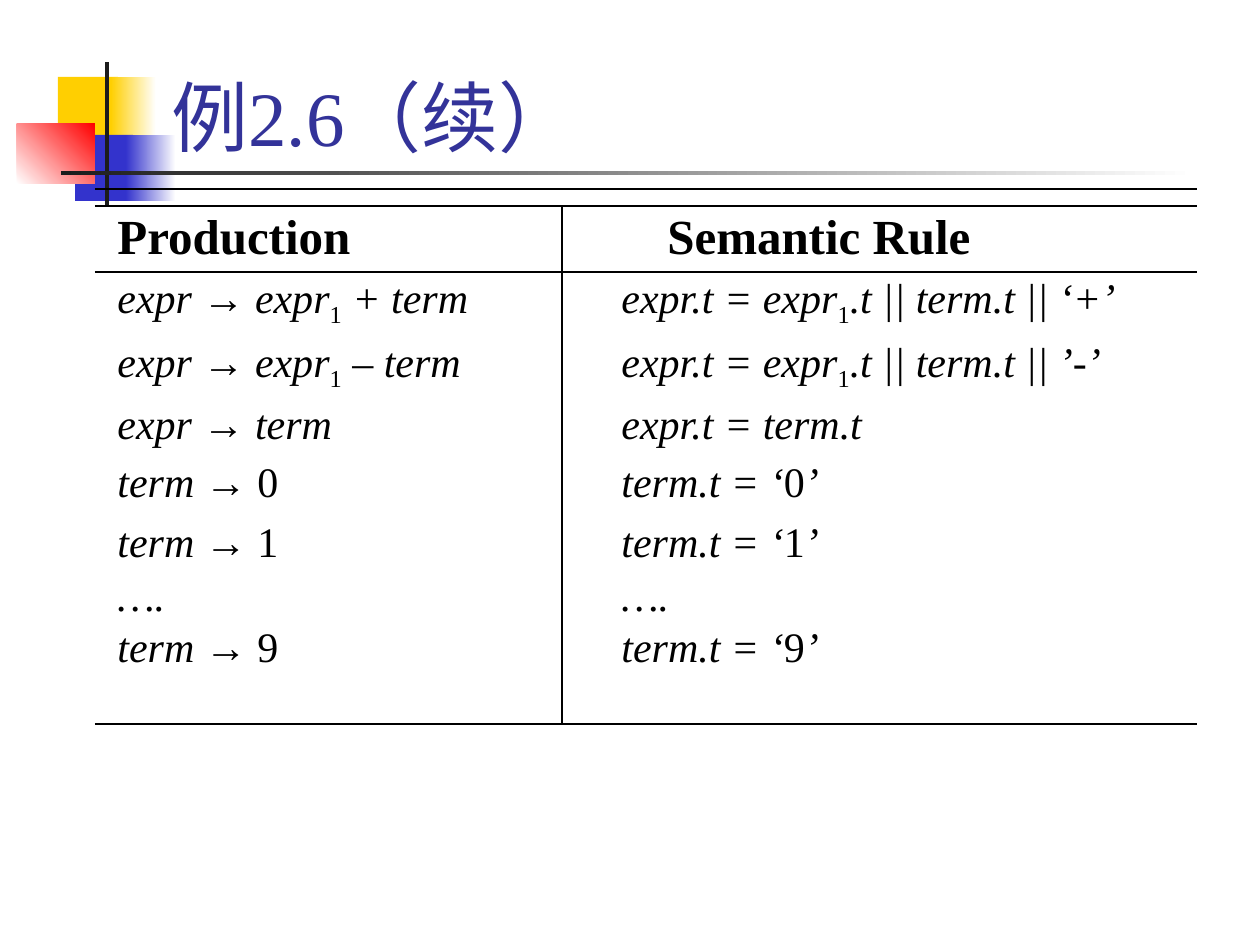
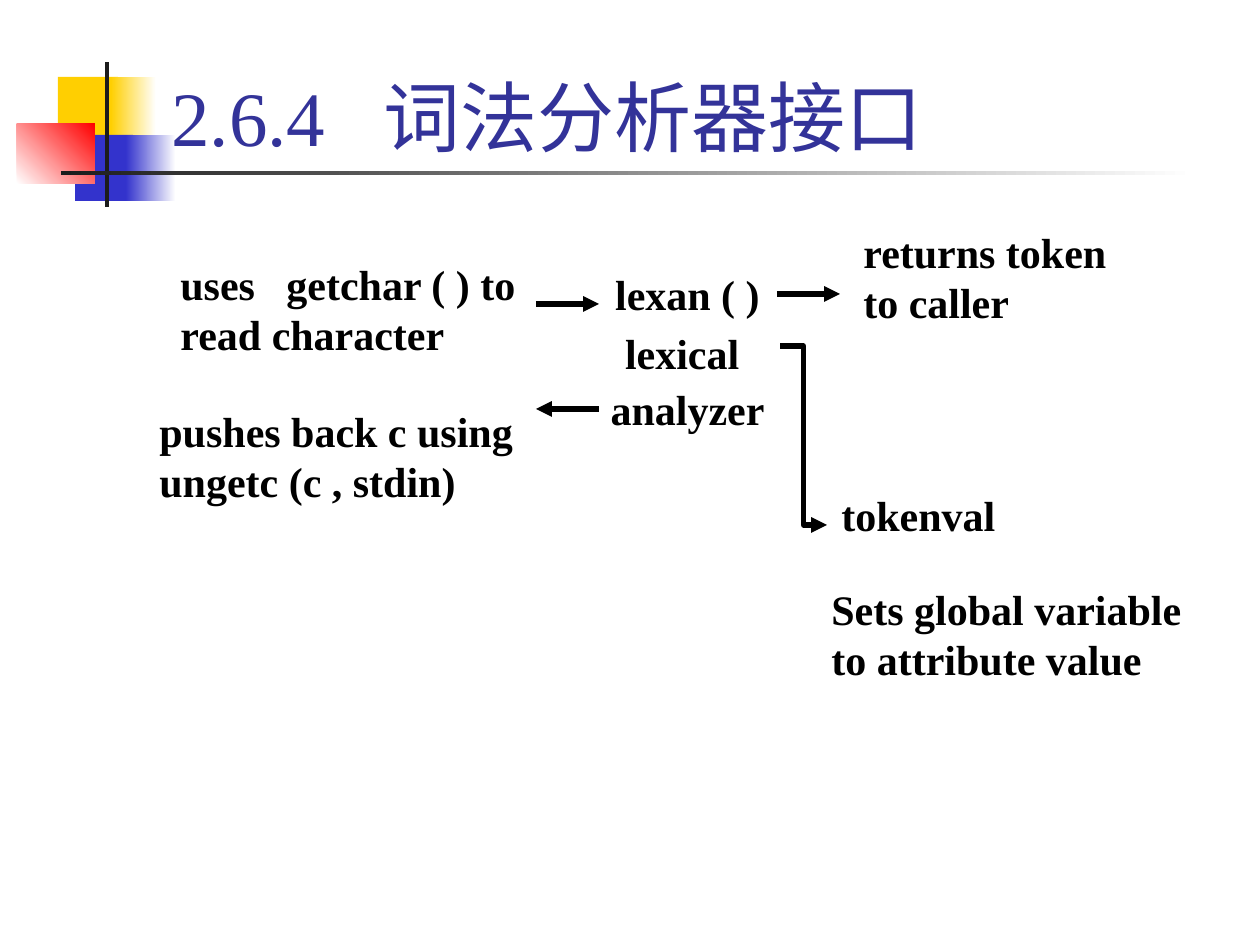
from itertools import groupby

from lxml import etree
from pptx import Presentation
from pptx.dml.color import RGBColor
from pptx.enum.shapes import MSO_CONNECTOR, MSO_SHAPE
from pptx.enum.text import MSO_ANCHOR, MSO_AUTO_SIZE, PP_ALIGN
from pptx.oxml.ns import qn
from pptx.util import Emu, Pt

RECTANGLE = MSO_SHAPE.RECTANGLE
STRAIGHT, ELBOW = MSO_CONNECTOR.STRAIGHT, MSO_CONNECTOR.ELBOW
TOP, BOTTOM = MSO_ANCHOR.TOP, MSO_ANCHOR.BOTTOM
LEFT, CENTER = PP_ALIGN.LEFT, PP_ALIGN.CENTER
NO_FIT, GROW = MSO_AUTO_SIZE.NONE, MSO_AUTO_SIZE.SHAPE_TO_FIT_TEXT

SCALE = 914400 / 126
SERIF, SANS = "Times New Roman", "Arial"
BLACK, WHITE, DARK, TITLE_BLUE = "000000", "FFFFFF", "1C1C1C", "333399"
YELLOW, BLUE, RED = "FFCF01", "3333CC", "FF0000"

# Shared decoration: area (left, top, width, height), colours, gradient angle
DECORATION = [
    ((58, 77, 60, 66), [YELLOW], 0),
    ((111, 77, 45, 66), [YELLOW, WHITE], 0),
    ((75, 135, 58, 66), [BLUE], 0),
    ((126, 135, 50, 66), [BLUE, WHITE], 0),
    ((17, 124, 78, 60), [WHITE, RED], 45),
    ((105, 62, 4, 145), [DARK], 0),
    ((61, 171, 1134, 4), [DARK, WHITE], 0),
]
TITLE_AREA = (159, 10, 1074, 158)

# Slide 1: production, semantic rule, line spacing
HEADINGS = ("Production", "Semantic Rule")
RULES = [
    ("expr → expr1 + term", "expr.t = expr1.t || term.t || ‘+’", 0.5),
    ("expr → expr1 – term", "expr.t = expr1.t || term.t || ’-’", 0.7),
    ("expr → term", "expr.t = term.t", 0.7),
    ("term → 0", "term.t = ‘0’", 0.6),
    ("term → 1", "term.t = ‘1’", 0.7),
    ("….", "….", 0.5),
    ("term → 9", "term.t = ‘9’", 0.5),
]
RULES_AREA = (105, 199, 1113, 475)
HEADING_TAB, RULE_TAB = 550, 504
GRID_LEFT, GRID_RIGHT, GRID_MIDDLE = 95, 1197, 562
GRID_ROWS = [189, 206, 272, 724]

# Slide 2: text, area, tab stop
LABELS = [
    ("uses\tgetchar ( ) to read character", (168, 252, 369, 113), 106),
    ("pushes back c using ungetc (c , stdin)", (147, 399, 382, 113), None),
    ("returns token to caller", (851, 220, 273, 113), None),
    ("tokenval", (829, 483, 242, 63), None),
    ("Sets global variable to attribute value", (819, 577, 382, 113), None),
]
ANALYZER = [("lexan ( )", 1.0), ("lexical ", 0.6), ("analyzer", 0.6)]
ANALYZER_AREA = (588, 262, 199, 176)
ARROWS = [
    (STRAIGHT, (536, 304), (599, 304)),
    (STRAIGHT, (599, 409), (536, 409)),
    (STRAIGHT, (777, 294), (840, 294)),
    (ELBOW, (780, 346), (827, 525)),
]


def px(*lengths):
    """Turn pixels into EMU."""
    return [Emu(round(length * SCALE)) for length in lengths]


def color(value):
    """Turn a hex string into a colour."""
    return RGBColor.from_string(value)


def add_block(page, area, colors, angle):
    """Draw a rectangle with a plain or two-colour gradient fill."""
    block = page.shapes.add_shape(RECTANGLE, *px(*area))
    block.shadow.inherit = False
    block.line.fill.background()
    if len(colors) == 1:
        block.fill.solid()
        block.fill.fore_color.rgb = color(colors[0])
    else:
        block.fill.gradient()
        block.fill.gradient_angle = angle
        for stop, value in zip(block.fill.gradient_stops, colors):
            stop.color.rgb = color(value)


def add_line(page, start, end, kind=STRAIGHT, width=0.74, arrow=False):
    """Draw a connector, with an arrowhead at its end if wanted."""
    line = page.shapes.add_connector(kind, *px(*start, *end))
    line.line.color.rgb = color(BLACK)
    line.line.width = Pt(width)
    properties = line._element.spPr
    if arrow:
        outline = properties.find(qn("a:ln"))
        etree.SubElement(outline, qn("a:tailEnd"), type="triangle")
    etree.SubElement(properties, qn("a:effectLst"))


def add_box(page, area, anchor=TOP, fit=GROW):
    """Add a wrapping text box and return its text frame."""
    frame = page.shapes.add_textbox(*px(*area)).text_frame
    frame.word_wrap = True
    frame.vertical_anchor = anchor
    frame.auto_size = fit
    return frame


def add_para(frame, spans, size=24, ink=BLACK, bold=False, align=LEFT,
             before=15, spacing=1.0, tab=None):
    """Write a paragraph of (text, font, italic, subscript) spans."""
    para = frame.paragraphs[0]
    if para.runs:
        para = frame.add_paragraph()
    para.alignment = align
    para.space_before = Pt(before)
    para.line_spacing = spacing
    if tab:
        stops = etree.SubElement(para._p.get_or_add_pPr(), qn("a:tabLst"))
        etree.SubElement(stops, qn("a:tab"), pos=str(px(tab)[0]), algn="l")
    for text, name, italic, subscript in spans:
        span = para.add_run()
        span.text = text
        font = span.font
        font.name, font.size = name, Pt(size)
        font.bold, font.italic = bold, italic
        font.color.rgb = color(ink)
        if subscript:
            font._element.set("baseline", "-25000")


def plain(text):
    """Return one upright serif span."""
    return [(text, SERIF, False, False)]


def grammar(text):
    """Split a rule: italic names, upright digits and arrows, subscripts."""
    def kind(letter):
        return "digit" if letter.isdigit() else "arrow" if letter == "→" else "name"

    spans, previous = [], ""
    for group, letters in groupby(text, kind):
        piece = "".join(letters)
        subscript = group == "digit" and previous.endswith("expr")
        spans.append((piece, SANS if group == "arrow" else SERIF,
                      group == "name", subscript))
        previous = piece
    return spans


def add_page(deck, title, tab=None):
    """Add a blank page with the shared decoration and a title."""
    page = deck.slides.add_slide(deck.slide_layouts[6])
    for area, colors, angle in DECORATION:
        add_block(page, area, colors, angle)
    frame = add_box(page, TITLE_AREA, BOTTOM, NO_FIT)
    add_para(frame, plain(title), size=44, ink=TITLE_BLUE, before=0, tab=tab)
    return page


def build_rules(deck):
    """Build the page of productions and semantic rules."""
    page = add_page(deck, "例2.6（续）")
    frame = add_box(page, RULES_AREA)
    add_para(frame, plain("\t".join(HEADINGS)), size=28, bold=True,
             before=17.5, tab=HEADING_TAB)
    for production, rule, spacing in RULES:
        add_para(frame, grammar(production + "\t" + rule),
                 spacing=spacing, tab=RULE_TAB)
    for row in GRID_ROWS:
        add_line(page, (GRID_LEFT, row), (GRID_RIGHT, row))
    add_line(page, (GRID_MIDDLE, GRID_ROWS[1]), (GRID_MIDDLE, GRID_ROWS[-1]))


def build_interface(deck):
    """Build the page of the lexical analyzer interface."""
    page = add_page(deck, "2.6.4\t词法分析器接口", tab=212)
    for text, area, tab in LABELS:
        add_para(add_box(page, area), plain(text), bold=True, tab=tab)
    frame = add_box(page, ANALYZER_AREA)
    for text, spacing in ANALYZER:
        add_para(frame, plain(text), bold=True, align=CENTER, spacing=spacing)
    for kind, start, end in ARROWS:
        add_line(page, start, end, kind, width=3, arrow=True)


deck = Presentation()
deck.slide_width, deck.slide_height = px(1260, 945)
build_rules(deck)
build_interface(deck)
deck.save("out.pptx")
